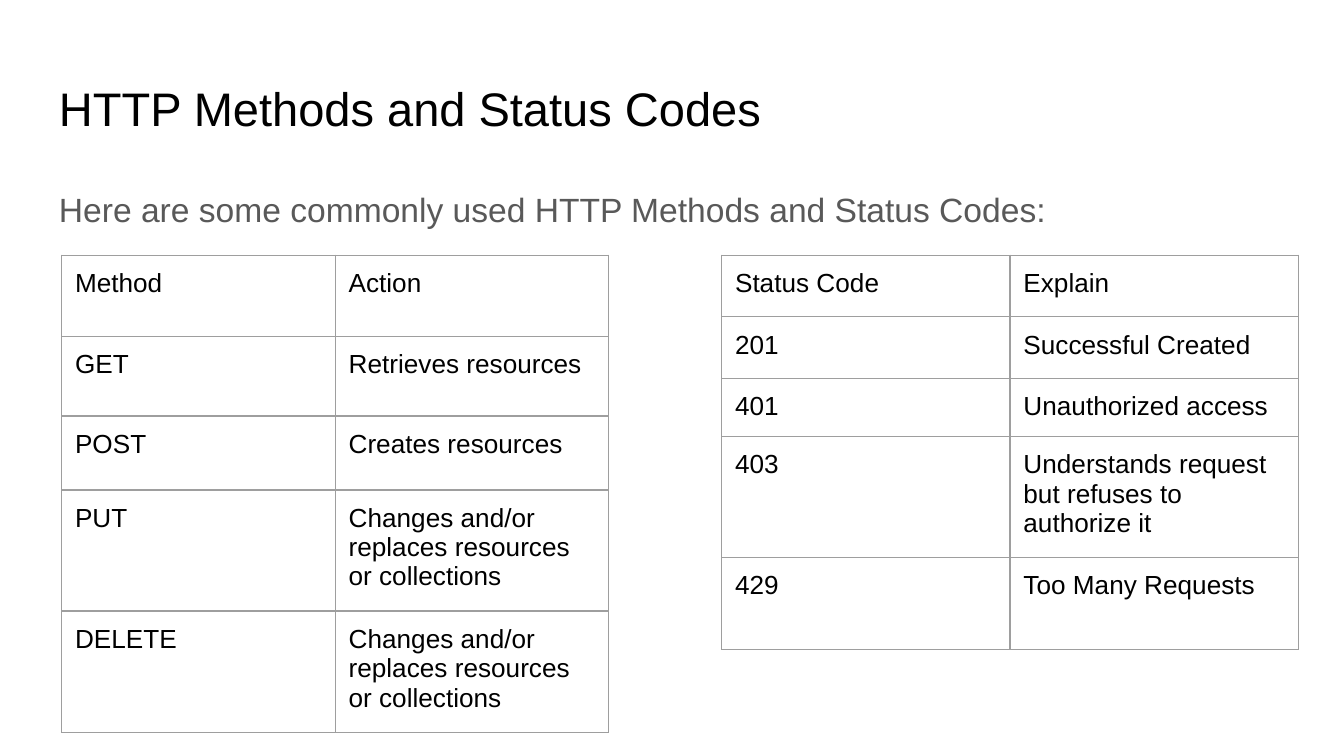
from dataclasses import dataclass

from lxml.etree import SubElement
from pptx import Presentation
from pptx.dml.color import RGBColor
from pptx.enum.text import MSO_ANCHOR
from pptx.oxml.ns import qn
from pptx.util import Pt


@dataclass(frozen=True)
class Theme:
    font: str = "Arial"
    ink: str = "000000"
    muted: str = "595959"
    border: str = "9E9E9E"
    border_width: float = 0.75
    title_size: float = 25.2
    body_size: float = 18
    cell_size: float = 14
    inset: float = 7.2


THEME = Theme()

METHODS = [
    ("Method", "Action"),
    ("GET", "Retrieves resources"),
    ("POST", "Creates resources"),
    ("PUT", "Changes and/or replaces resources or collections"),
    ("DELETE", "Changes and/or replaces resources or collections"),
]
STATUS_CODES = [
    ("Status Code", "Explain"),
    ("201", "Successful Created"),
    ("401", "Unauthorized access"),
    ("403", "Understands request but refuses to authorize it"),
    ("429", "Too Many Requests"),
]


def apply_format(target, values):
    for name, value in values.items():
        setattr(target, name, value)


def margins():
    sides = ("left", "top", "right", "bottom")
    return {f"margin_{side}": Pt(THEME.inset) for side in sides}


def write_text(frame, text, size, color, line_spacing=1.0):
    paragraph = frame.paragraphs[0]
    paragraph.line_spacing = line_spacing
    run = paragraph.add_run()
    run.text = text
    apply_format(run.font, {"name": THEME.font, "size": Pt(size)})
    run.font.color.rgb = RGBColor.from_string(color)


def add_text(slide, box, text, size, color, anchor=MSO_ANCHOR.TOP, line_spacing=1.0):
    frame = slide.shapes.add_textbox(*map(Pt, box)).text_frame
    apply_format(frame, {"word_wrap": True, "vertical_anchor": anchor, **margins()})
    write_text(frame, text, size, color, line_spacing)


def set_borders(cell):
    properties = cell._tc.get_or_add_tcPr()
    for position, side in enumerate(("lnL", "lnR", "lnT", "lnB")):
        line = SubElement(properties, qn(f"a:{side}"), w=str(Pt(THEME.border_width)))
        fill = SubElement(line, qn("a:solidFill"))
        SubElement(fill, qn("a:srgbClr"), val=THEME.border)
        properties.remove(line)
        properties.insert(position, line)  # borders must precede the fill


def add_grid(slide, left, top, column_width, row_heights, rows):
    column_count = len(rows[0])
    shape = slide.shapes.add_table(
        len(rows), column_count, Pt(left), Pt(top),
        Pt(column_width * column_count), Pt(sum(row_heights)))
    table = shape.table
    apply_format(table, {"first_row": False, "horz_banding": False})
    for column in table.columns:
        column.width = Pt(column_width)
    for row, height, texts in zip(table.rows, row_heights, rows):
        row.height = Pt(height)
        for cell, text in zip(row.cells, texts):
            apply_format(cell, margins())
            cell.fill.background()
            set_borders(cell)
            write_text(cell.text_frame, text, THEME.cell_size, THEME.ink)


def main():
    presentation = Presentation()
    apply_format(presentation, {"slide_width": Pt(720), "slide_height": Pt(405)})
    slide = presentation.slides.add_slide(presentation.slide_layouts[6])

    add_text(slide, (24.5, 35, 671, 45), "HTTP Methods and Status Codes",
             THEME.title_size, THEME.ink, anchor=MSO_ANCHOR.MIDDLE)
    add_text(slide, (24.5, 90.75, 671, 269),
             "Here are some commonly used HTTP Methods and Status Codes:",
             THEME.body_size, THEME.muted, line_spacing=1.15)

    table_top = 136.75
    add_grid(slide, 33, table_top, 146.6, (43.7, 42.5, 39.6, 39.6, 39.6), METHODS)
    add_grid(slide, 386.6, table_top, 154.5, (33, 33, 30, 49, 49), STATUS_CODES)

    presentation.save("out.pptx")


if __name__ == "__main__":
    main()
